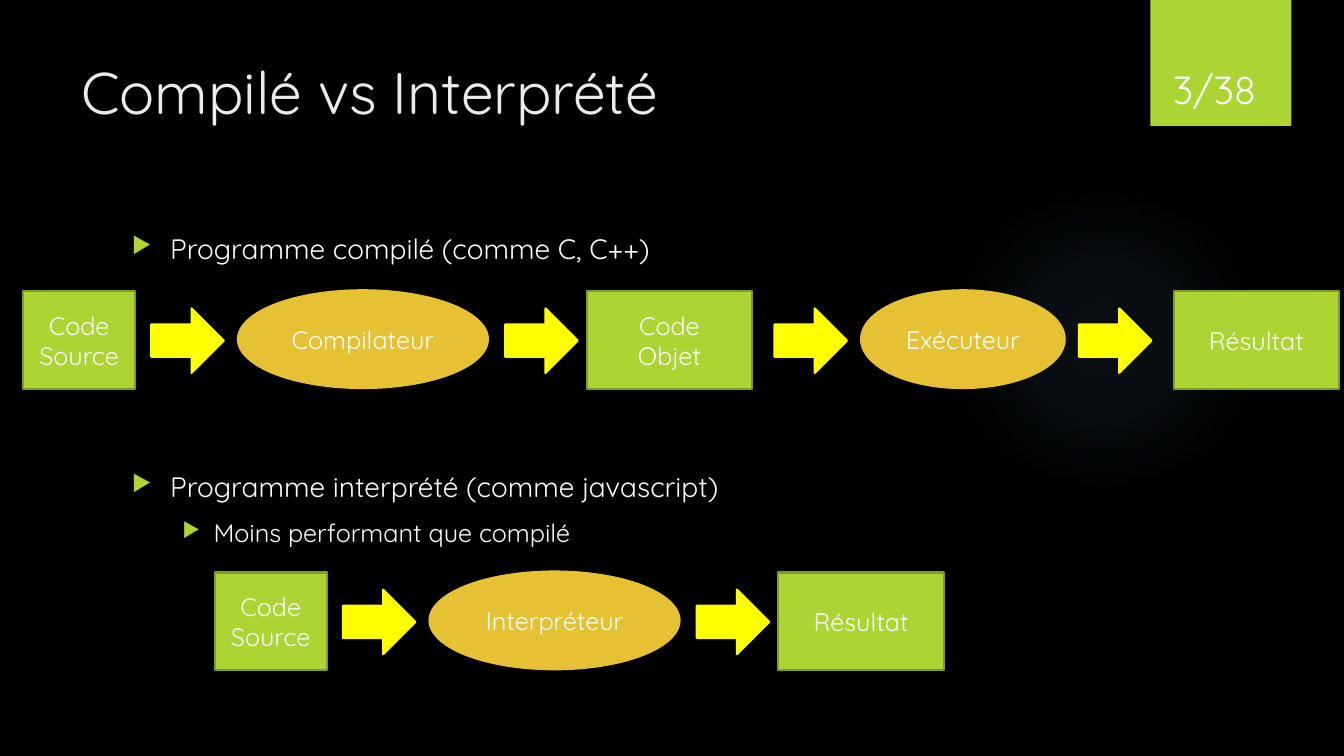
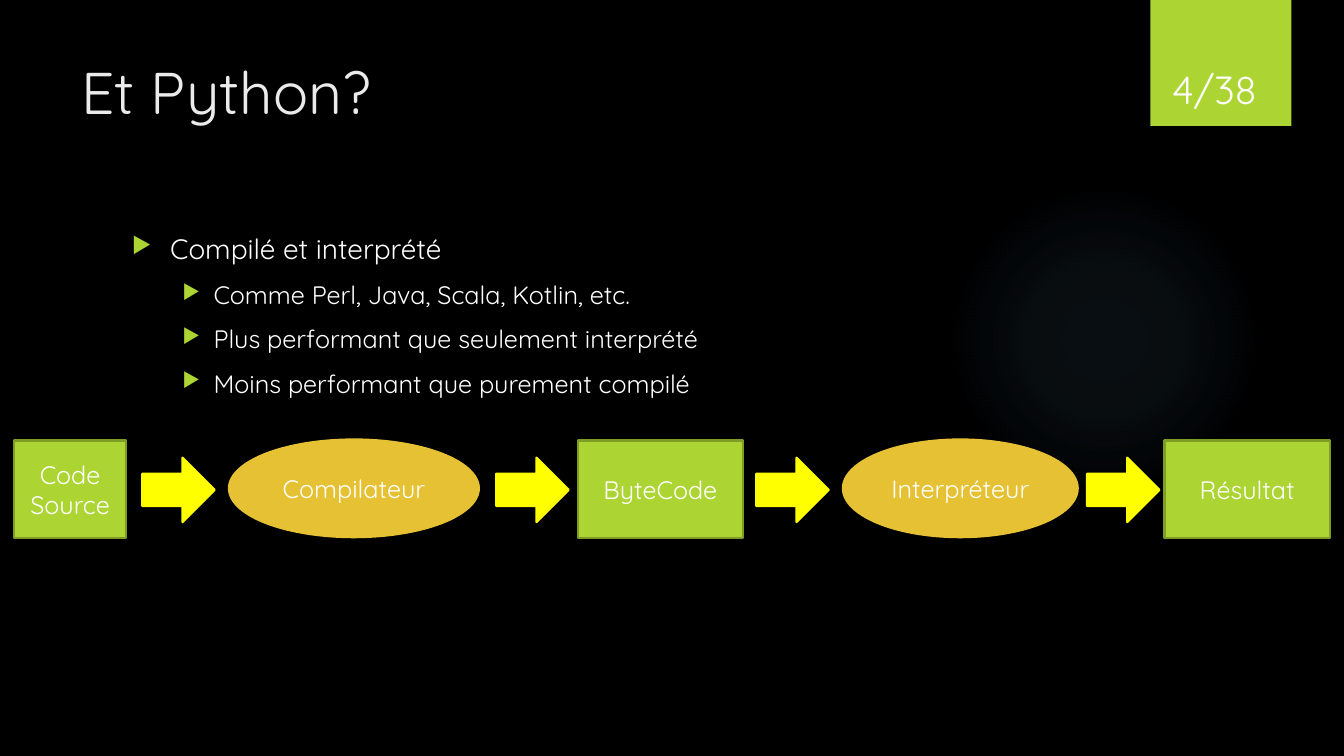
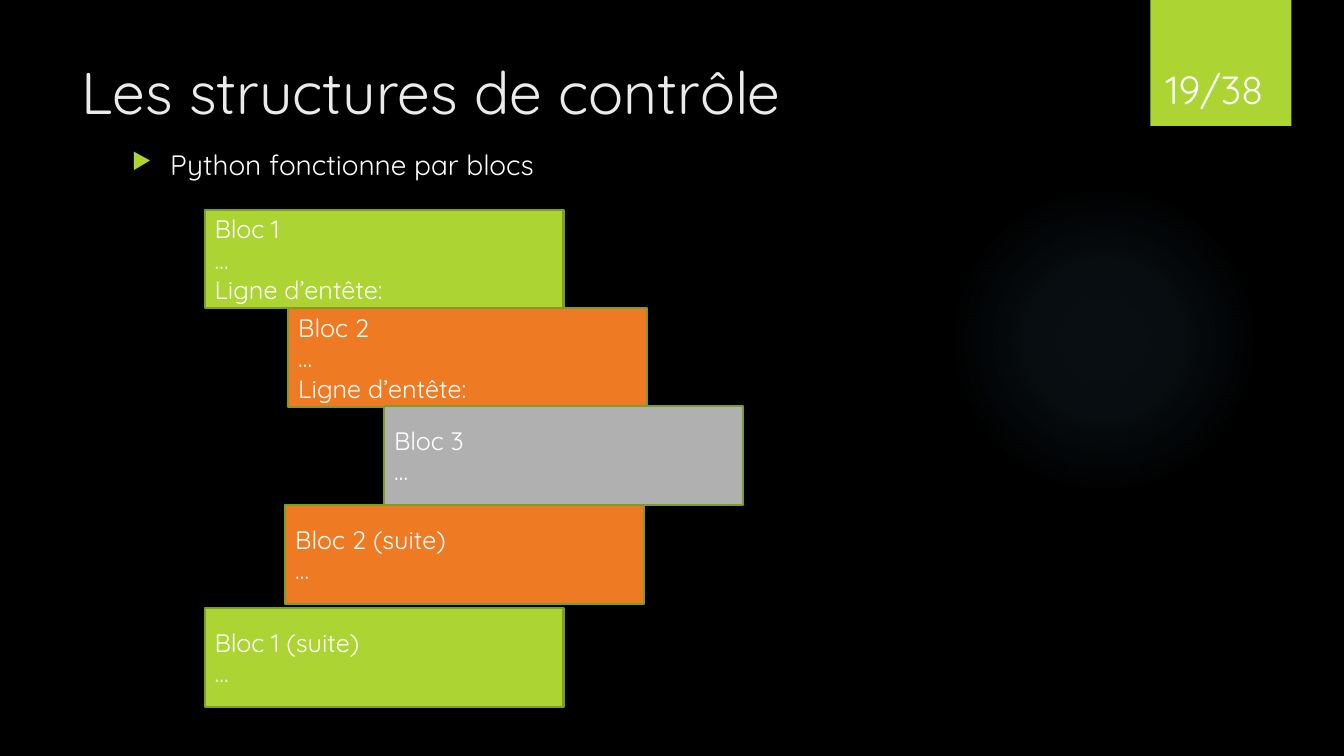
from pptx import Presentation
from pptx.dml.color import RGBColor
from pptx.enum import shapes, text
from pptx.oxml import parse_xml
from pptx.oxml.ns import nsdecls, qn
from pptx.util import Inches, Pt

FONT = "Quicksand"
BLACK, WHITE, PALE = "000000", "FFFFFF", "EBEBEB"
LIME, OLIVE, GOLD, YELLOW = "ACD433", "7F9D26", "E6C133", "FFFF00"
ORANGE, GREY, SKY = "EF7A24", "B0B0B0", "7AC4F0"
KIND = shapes.MSO_SHAPE
ALIGN = text.PP_ALIGN
ANCHOR = text.MSO_ANCHOR
TOTAL = 38
SPANS = [(0, 1.11), (2.13, 2.48), (5.59, 1.64)]
TURNS = [1.27, 4.78]


def color(code):
    return RGBColor.from_string(code)


def style(para, size, code=WHITE, align=ALIGN.LEFT):
    para.alignment = align
    para.font.name = FONT
    para.font.size = Pt(size)
    para.font.color.rgb = color(code)


def draw(slide, kind, box, fill, line=None, words="", align=ALIGN.CENTER):
    shape = slide.shapes.add_shape(kind, *map(Inches, box))
    shape.shadow.inherit = False
    shape.fill.solid()
    shape.fill.fore_color.rgb = color(fill)
    if line:
        shape.line.color.rgb = color(line)
        shape.line.width = Pt(1.5)
    else:
        shape.line.fill.background()
    if words:
        frame = shape.text_frame
        frame.text = words
        frame.vertical_anchor = ANCHOR.MIDDLE
        for para in frame.paragraphs:
            style(para, 18, align=align)
    return shape


def write(slide, box, anchor=ANCHOR.TOP):
    frame = slide.shapes.add_textbox(*map(Inches, box)).text_frame
    frame.word_wrap = True
    frame.vertical_anchor = anchor
    return frame


def label(slide, box, words, size, code, align, anchor):
    frame = write(slide, box, anchor)
    frame.text = words
    style(frame.paragraphs[0], size, code, align)


def glow(slide, box):
    shape = draw(slide, KIND.OVAL, box, SKY)
    stops = "".join(
        f'<a:gs pos="{pos * 1000}"><a:srgbClr val="{SKY}">'
        f'<a:alpha val="{alpha * 1000}"/></a:srgbClr></a:gs>'
        for pos, alpha in [(0, 7), (36, 6), (69, 0)])
    grad = parse_xml(
        f'<a:gradFill {nsdecls("a")}><a:gsLst>{stops}</a:gsLst>'
        '<a:path path="circle"><a:fillToRect l="50000" t="50000" '
        'r="50000" b="50000"/></a:path></a:gradFill>')
    props = shape.element.spPr
    props.replace(props.find(qn("a:solidFill")), grad)


def start(deck, title, page):
    slide = deck.slides.add_slide(deck.slide_layouts[6])
    glow(slide, (9.41, 1.83, 3.08, 3.08))
    draw(slide, KIND.RECTANGLE, (11.41, 0, 1.4, 1.25), LIME)
    label(slide, (0.71, 0.5, 10.29, 1.53), title, 42, PALE,
          ALIGN.LEFT, ANCHOR.TOP)
    label(slide, (11.32, 0.32, 1.45, 0.84), f"{page}/{TOTAL}", 28, WHITE,
          ALIGN.CENTER, ANCHOR.BOTTOM)
    return slide


def points(slide, top, high, head, *subs):
    frame = write(slide, (1.21, top, 9.78, high))
    for i, words in enumerate((head, *subs)):
        para = frame.add_paragraph() if i else frame.paragraphs[0]
        left, hang, size = (0.81, 0.31, 18) if i else (0.38, 0.38, 20)
        para.text = words
        props = para._p.get_or_add_pPr()
        props.set("marL", str(Inches(left)))
        props.set("indent", str(-Inches(hang)))
        for tag in (f'buClr {nsdecls("a")}><a:srgbClr val="{LIME}"/></a:buClr>',
                    f'buSzPct {nsdecls("a")} val="80000"/>',
                    f'buChar {nsdecls("a")} char="▶"/>'):
            props.append(parse_xml("<a:" + tag))
        if i:
            para.space_before = Pt(10)
        style(para, size)


def flow(slide, left, top, names, spans=SPANS, turns=TURNS):
    for i, (words, (x, wide)) in enumerate(zip(names, spans)):
        if i % 2:
            draw(slide, KIND.OVAL, (left + x, top, wide, 0.97),
                 GOLD, GOLD, words)
        else:
            draw(slide, KIND.RECTANGLE, (left + x, top + 0.01, wide, 0.97),
                 LIME, OLIVE, words)
    for x in turns:
        draw(slide, KIND.RIGHT_ARROW, (left + x, top + 0.18, 0.72, 0.64),
             YELLOW, YELLOW)


def blocks(slide, left, top, rows):
    for x, y, fill, words in rows:
        draw(slide, KIND.RECTANGLE, (left + x, top + y, 3.56, 0.98),
             fill, OLIVE, words, ALIGN.LEFT)


def main():
    deck = Presentation()
    deck.slide_width, deck.slide_height = Inches(13.33), Inches(7.5)
    back = deck.slide_master.background.fill
    back.solid()
    back.fore_color.rgb = color(BLACK)

    slide = start(deck, "Compilé vs Interprété", 3)
    points(slide, 2.25, 0.5, "Programme compilé (comme C, C++)")
    points(slide, 4.61, 1, "Programme interprété (comme javascript)",
           "Moins performant que compilé")
    flow(slide, 0.23, 2.88,
         ["Code\nSource", "Compilateur", "Code\nObjet", "Exécuteur", "Résultat"],
         SPANS + [(8.31, 2.02), (11.41, 1.64)], TURNS + [7.45, 10.47])
    flow(slide, 2.13, 5.67, ["Code\nSource", "Interpréteur", "Résultat"])

    slide = start(deck, "Et Python?", 4)
    points(slide, 2.25, 2, "Compilé et interprété",
           "Comme Perl, Java, Scala, Kotlin, etc.",
           "Plus performant que seulement interprété",
           "Moins performant que purement compilé")
    flow(slide, 0.14, 4.36,
         ["Code\nSource", "Compilateur", "ByteCode", "Interpréteur", "Résultat"],
         SPANS + [(8.22, 2.33), (11.41, 1.64)], TURNS + [7.36, 10.64])

    slide = start(deck, "Les structures de contrôle", 19)
    points(slide, 1.41, 0.5, "Python fonctionne par blocs")
    blocks(slide, 2.03, 2.08, [
        (0, 0, LIME, "Bloc 1\n…\nLigne d’entête:"),
        (0.83, 0.98, ORANGE, "Bloc 2\n…\nLigne d’entête:"),
        (1.78, 1.95, GREY, "Bloc 3\n…"),
        (0.8, 2.93, ORANGE, "Bloc 2 (suite)\n…"),
        (0, 3.95, LIME, "Bloc 1 (suite)\n…")])

    deck.save("out.pptx")


if __name__ == "__main__":
    main()
